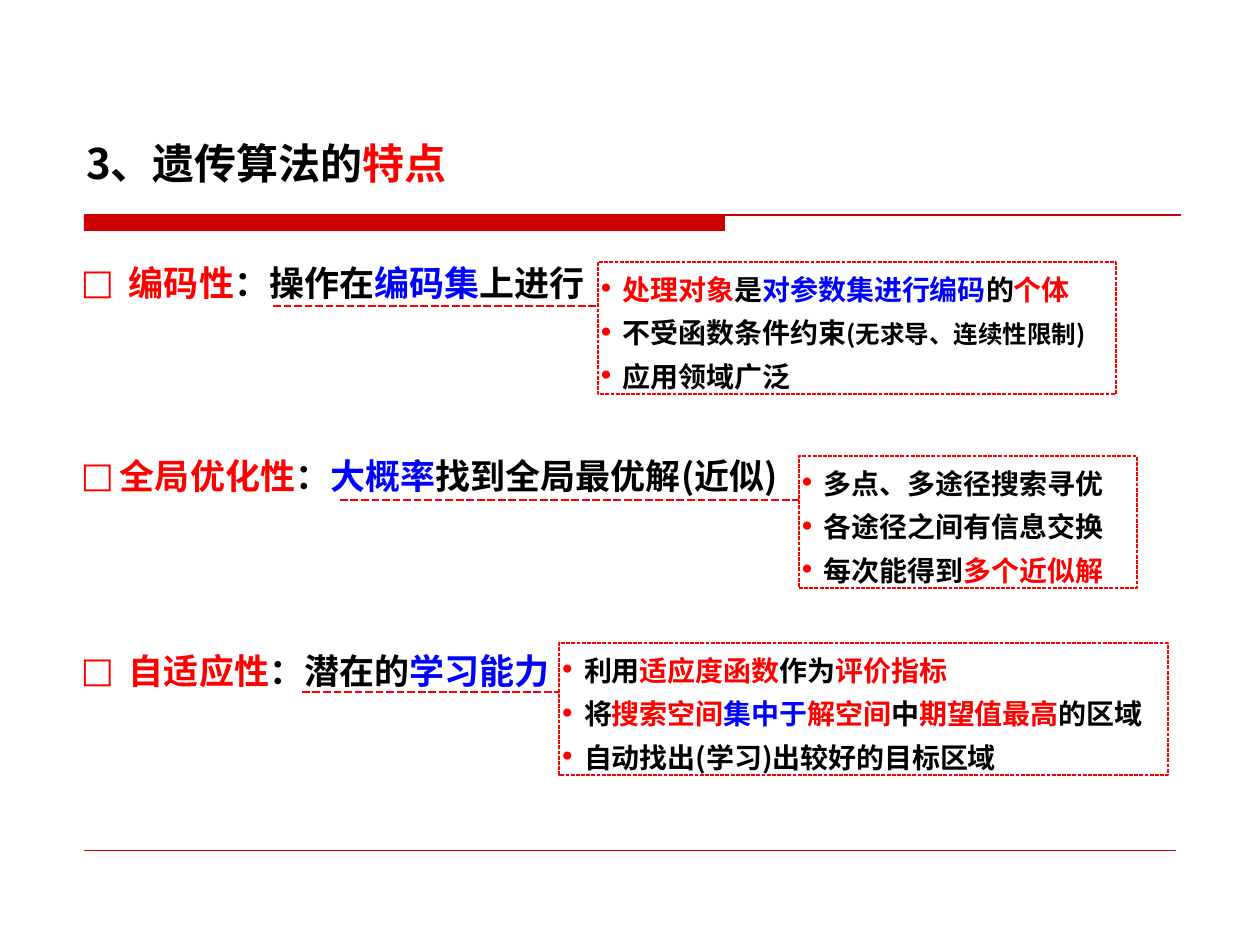
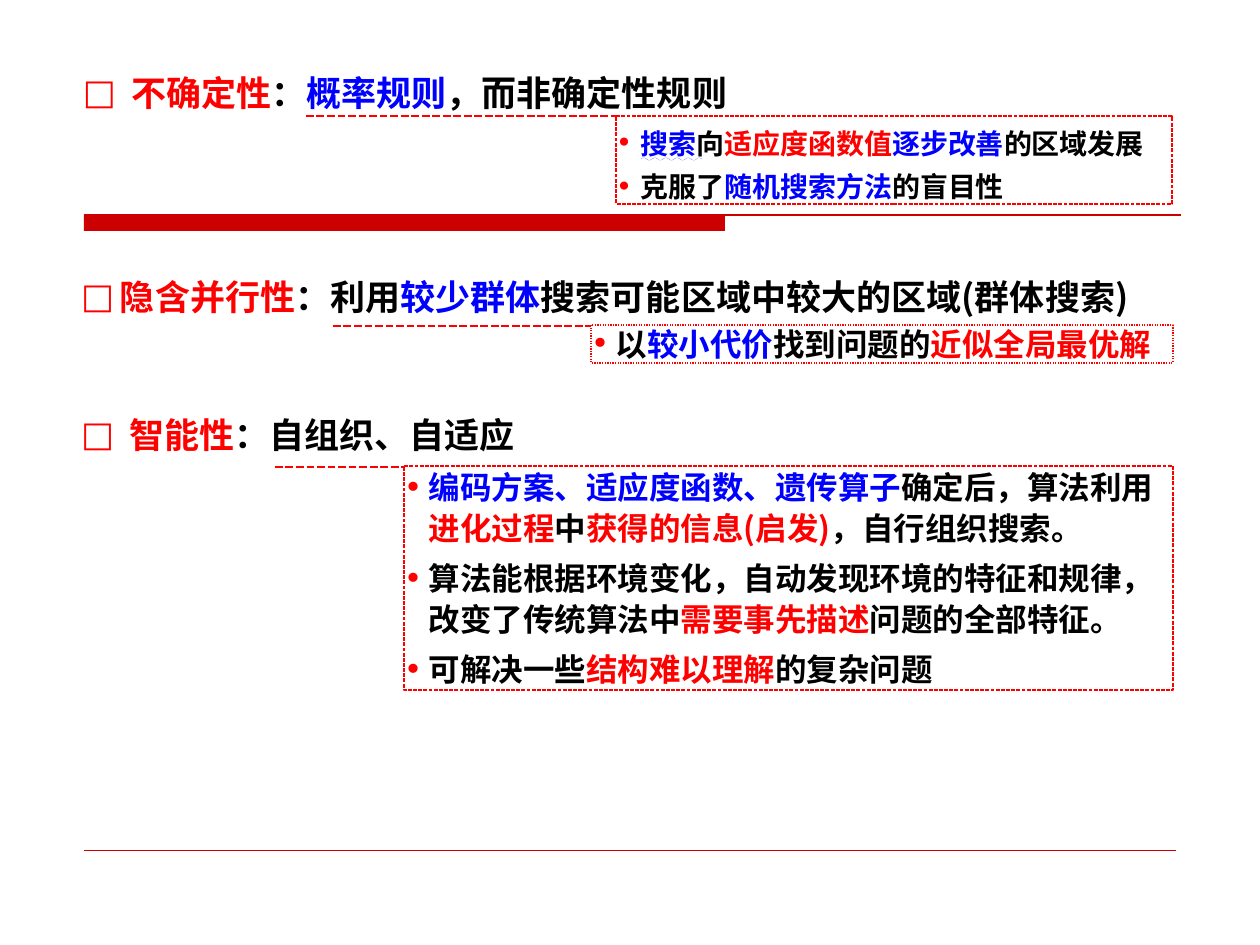
"""Build two slides on the traits of genetic algorithms."""
from pptx import Presentation
from pptx.dml.color import RGBColor as RGB
from pptx.enum.dml import MSO_LINE as Dash
from pptx.enum.shapes import MSO_CONNECTOR as Link, MSO_SHAPE as Form
from pptx.enum.text import MSO_ANCHOR as Anchor, MSO_AUTO_SIZE as Fit
from pptx.enum.text import MSO_UNDERLINE as Under, PP_ALIGN as Align
from pptx.oxml.ns import qn
from pptx.util import Pt
from lxml.etree import SubElement as Sub

PX = 914400 / 126
NOTO, DEJA = "Noto Sans CJK SC", "DejaVu Sans"
HUE = {"r": "FF0000", "k": "000000", "b": "0000FF", "u": "0000FF", "bar": "CC0000"}
DASH, DOT = Dash.SQUARE_DOT, Dash.ROUND_DOT

TITLE = "k3、遗传算法的|r特点"

PAGES = [
    (TITLE, [
        dict(head="r编码性|k：操作在|b编码集|k上进行", face=DEJA, at=(81, 261, 519), hang=48,
             rule=(273, 306), box=(598, 262, 518, 132), font=NOTO, size=16, lead=25,
             rows=["r处理对象|k是|b对参数集进行编码|k的|r个体",
                   "k不受函数条件约束|s(无求导、连续性限制)",
                   "k应用领域广泛"]),
        dict(head="r全局优化性|k：|b大概率|k找到全局最优解(近似)", face=NOTO, at=(81, 454, 717), hang=39,
             rule=(340, 500), box=(799, 456, 338, 132), font=NOTO, size=16, lead=25,
             rows=["k多点、多途径搜索寻优",
                   "k各途径之间有信息交换",
                   "k每次能得到|r多个近似解"]),
        dict(head="r自适应性|k：潜在的|b学习能力", face=DEJA, at=(81, 649, 479), hang=48,
             rule=(302, 692), box=(559, 643, 609, 132), font=DEJA, size=16, lead=25,
             rows=["k利用|r适应度函数|k作为|r评价指标",
                   "k将|r搜索空间|b集中于|r解空间|k中|r期望值最高|k的区域",
                   "k自动找出|k(学习)|k出较好的目标区域"]),
    ]),
    (None, [
        dict(head="r隐含并行性|k：利用|b较少群体|k搜索可能区域中较大的区域|k(群体搜索)",
             face=DEJA, at=(81, 275, 1091), hang=39,
             rule=(333, 326), box=(591, 325, 582, 38), font=DEJA, size=18, dash=DOT,
             rows=["k以|b较小代价|k找到问题的|r近似全局最优解"]),
        dict(head="r智能性|k：自组织、自适应", face=NOTO, at=(81, 413, 450), hang=48,
             rule=(275, 467), box=(404, 466, 769, 224), font=NOTO, size=18, lead=23, gap=6,
             rows=["b编码方案、适应度函数、遗传算子|k确定后，算法利用|r进化过程|k中"
                   "|r获得的信息(启发)|k，自行组织搜索。",
                   "k算法能根据环境变化，自动发现环境的特征和规律，改变了传统算法中"
                   "|r需要事先描述|k问题的全部特征。",
                   "k可解决一些|r结构难以理解|k的复杂问题"]),
        dict(head="r不确定性|k：|b概率规则|k，而非确定性规则", face=DEJA, at=(83, 71, 663), hang=48,
             rule=(306, 116), box=(616, 116, 556, 88), font=DEJA, size=16, lead=25,
             rows=["u搜索|k向|r适应度函数值|b逐步改善|k的区域发展",
                   "k克服了|b随机搜索方法|k的盲目性"]),
    ]),
]


def px(*nums):
    return [round(n * PX) for n in nums]


def hue(key):
    return RGB.from_string(HUE[key])


def setup(frame):
    frame.word_wrap = True
    frame.auto_size = Fit.NONE
    frame.vertical_anchor = Anchor.TOP
    frame.margin_left = frame.margin_right = frame.margin_top = frame.margin_bottom = 0


def bullet(para, mark, hang):
    props = para._p.get_or_add_pPr()
    step = px(hang)[0]
    props.set("marL", str(step))
    props.set("indent", str(-step))
    Sub(Sub(props, qn("a:buClr")), qn("a:srgbClr")).set("val", HUE["r"])
    Sub(props, qn("a:buFont")).set("typeface", DEJA)
    Sub(props, qn("a:buChar")).set("char", mark)


def fill(para, line, size, face):
    para.alignment = Align.LEFT
    for part in line.split("|"):
        key, text = part[0], part[1:]
        run = para.add_run()
        run.text = text
        font = run.font
        font.bold = True
        font.size = Pt(size - 2 if key == "s" else size)
        font.color.rgb = hue("k" if key == "s" else key)
        font.name = NOTO if "(" in text else face
        if key == "u":
            font.underline = Under.WAVY_LINE
        east = Sub(run._r.get_or_add_rPr(), qn("a:ea"))
        east.set("typeface", NOTO)


def stroke(slide, x, y, end, color, width, dash=None):
    line = slide.shapes.add_connector(Link.STRAIGHT, *px(x, y, end, y))
    line.line.color.rgb = hue(color)
    line.line.width = Pt(width)
    if dash is not None:
        line.line.dash_style = dash
    Sub(line._element.spPr, qn("a:effectLst"))


def rect(slide, *area):
    shape = slide.shapes.add_shape(Form.RECTANGLE, *px(*area))
    shape.shadow.inherit = False
    return shape


def frame(slide):
    bar = rect(slide, 84, 215, 641, 16)
    bar.fill.solid()
    bar.fill.fore_color.rgb = hue("bar")
    bar.line.fill.background()
    stroke(slide, 84, 215, 1181, "bar", 0.75)
    stroke(slide, 84, 850, 1176, "bar", 0.25)


def name(slide, text):
    shape = slide.shapes.title
    shape.left, shape.top, shape.width, shape.height = px(86, 137, 376, 50)
    setup(shape.text_frame)
    fill(shape.text_frame.paragraphs[0], text, 24, NOTO)


def topic(slide, item):
    head = slide.shapes.add_textbox(*px(*item["at"], 43)).text_frame
    setup(head)
    bullet(head.paragraphs[0], "□", item["hang"])
    fill(head.paragraphs[0], item["head"], 20, item["face"])

    dash = item.get("dash", DASH)
    box = rect(slide, *item["box"])
    box.fill.background()
    box.line.color.rgb = hue("r")
    box.line.width = Pt(0.75)
    box.line.dash_style = dash
    body, rows = box.text_frame, item["rows"]
    setup(body)
    for i, row in enumerate(rows):
        para = body.add_paragraph() if i else body.paragraphs[0]
        bullet(para, "•", 25)
        if "lead" in item:
            para.line_spacing = Pt(item["lead"])
        if "gap" in item and i < len(rows) - 1:
            para.space_after = Pt(item["gap"])
        fill(para, row, item["size"], item["font"])
    stroke(slide, *item["rule"], item["box"][0], "r", 1.5, DASH)


def main():
    deck = Presentation()
    deck.slide_width, deck.slide_height = px(1260, 945)
    for title, items in PAGES:
        slide = deck.slides.add_slide(deck.slide_layouts[5 if title else 6])
        frame(slide)
        if title:
            name(slide, title)
        for item in items:
            topic(slide, item)
    deck.save("out.pptx")


if __name__ == "__main__":
    main()
